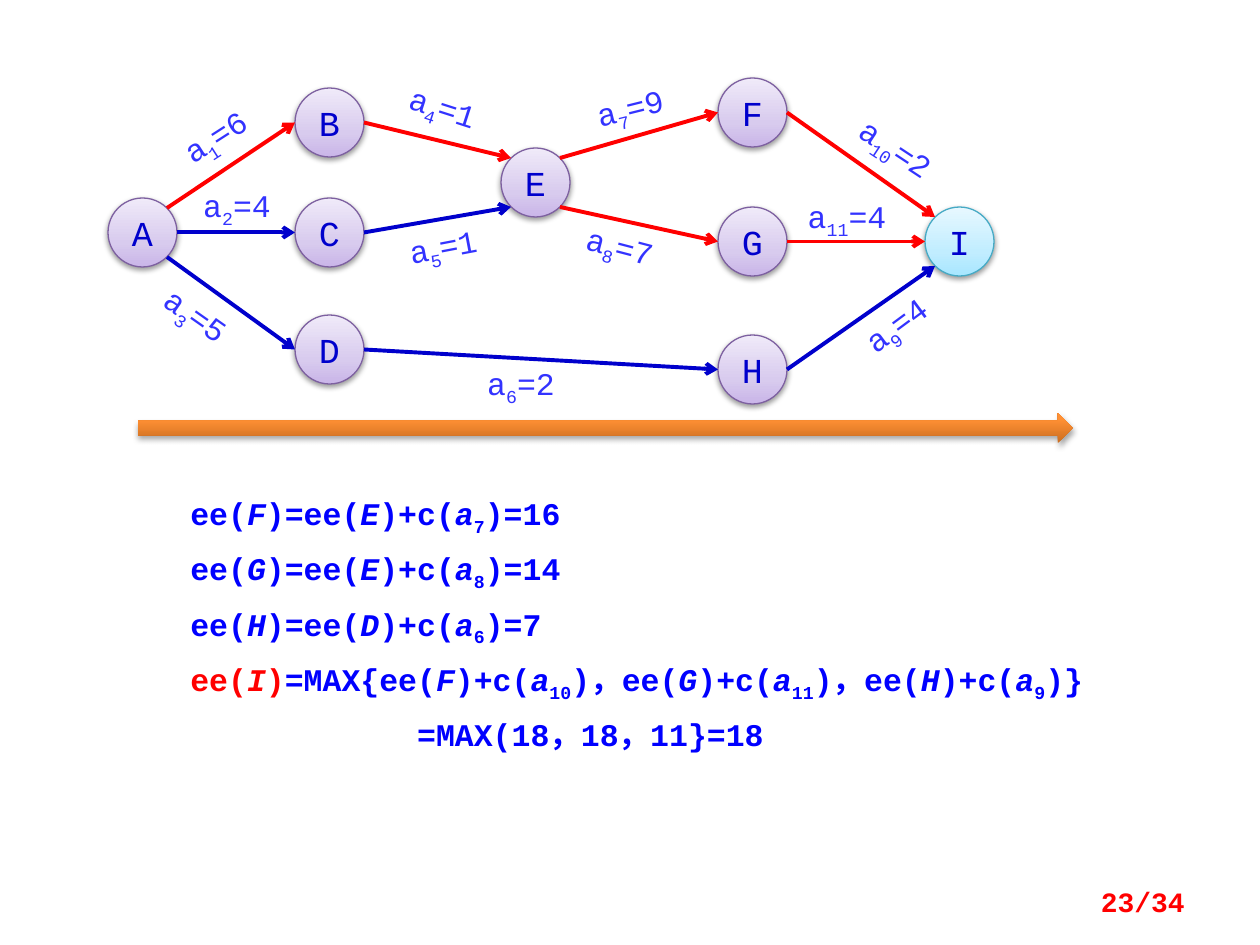
from itertools import groupby

from lxml.etree import SubElement
from pptx import Presentation
from pptx.dml.color import RGBColor
from pptx.enum.shapes import MSO_CONNECTOR, MSO_SHAPE
from pptx.enum.text import MSO_ANCHOR, PP_ALIGN
from pptx.oxml import parse_xml
from pptx.oxml.ns import nsdecls, qn
from pptx.util import Pt

PX = 914400 / 126
FONT = "Courier New"
COLORS = {"critical": "FF0000", "normal": "0000CC", "label": "3333FF",
          "formula": "0000FF", "node": "7D60A0", "sink": "46AAC5"}
GRADIENTS = {
    "node": [(0, "C9B5E8"), (35, "D8CBEE"), (100, "F0EAF9")],
    "sink": [(0, "A7E6FF"), (35, "C1EDFF"), (100, "E7F8FF")],
    "timeline": [(0, "CC6E20"), (80, "FF9034"), (100, "FF9136")],
}

DIAMETER = 69
NODES = {"A": (108, 198), "B": (295, 88), "C": (295, 198), "D": (295, 315),
         "E": (501, 148), "F": (718, 78), "G": (718, 207), "H": (718, 335),
         "I": (925, 207)}
# Ellipse connection sites: index, then direction from the centre
DIAG = 0.71
SITES = {"NW": (1, -DIAG, -DIAG), "W": (2, -1, 0), "SW": (3, -DIAG, DIAG),
         "SE": (5, DIAG, DIAG), "E": (6, 1, 0), "NE": (7, DIAG, -DIAG)}
# activity, cost, from, site, to, site, kind, label left and top, label rotation
ACTIVITIES = [
    (1, 6, "A", "NE", "B", "W", "critical", (156, 117), 327.3),
    (2, 4, "A", "E", "C", "W", "normal", (178, 186), 0),
    (3, 5, "A", "SE", "D", "W", "normal", (137, 296), 35.2),
    (4, 1, "B", "E", "E", "NW", "critical", (384, 88), 17.8),
    (5, 1, "C", "E", "E", "SW", "normal", (384, 227), 349.2),
    (6, 2, "D", "E", "H", "W", "normal", (462, 364), 0),
    (7, 9, "E", "NE", "F", "W", "critical", (571, 88), 346),
    (8, 7, "E", "SE", "G", "W", "critical", (561, 227), 14.7),
    (9, 4, "H", "E", "I", "SW", "normal", (837, 305), 323.4),
    (10, 2, "F", "E", "I", "NW", "critical", (837, 129), 33.4),
    (11, 4, "G", "E", "I", "W", "critical", (788, 197), 0),
]


def text(words, color="formula"):
    return [(words, "plain", color)]


def ee(event, color="formula"):
    return [("ee(", "plain", color), (event, "italic", color), (")", "plain", color)]


def cost(activity):
    return [("c(", "plain", "formula"), ("a", "italic", "formula"),
            (str(activity), "sub", "formula"), (")", "plain", "formula")]


def path_sum(event, activity):
    return ee(event) + text("+") + cost(activity)


FORMULAS = [
    ee("F") + text("=") + path_sum("E", 7) + text("=16"),
    ee("G") + text("=") + path_sum("E", 8) + text("=14"),
    ee("H") + text("=") + path_sum("D", 6) + text("=7"),
    ee("I", "critical") + text("=MAX{") + path_sum("F", 10) + text("，")
    + path_sum("G", 11) + text("，") + path_sum("H", 9) + text("}"),
    text("=MAX(18，18，11}=18"),
]
LAST_INDENT = Pt(129.6)  # twelve characters


def px(*lengths):
    return [round(length * PX) for length in lengths]


def rgb(name):
    return RGBColor.from_string(COLORS[name])


def set_gradient(shape, stops):
    shape.fill.background()
    stop_xml = "".join(f'<a:gs pos="{pos * 1000}"><a:srgbClr val="{color}"/></a:gs>'
                       for pos, color in stops)
    gradient = parse_xml(f'<a:gradFill {nsdecls("a")} rotWithShape="1"><a:gsLst>{stop_xml}'
                         '</a:gsLst><a:lin ang="16200000" scaled="0"/></a:gradFill>')
    properties = shape._element.spPr
    properties.replace(properties.find(qn("a:noFill")), gradient)


def set_shadow(shape, distance, opacity):
    shape.shadow.inherit = False
    effects = shape._element.spPr.find(qn("a:effectLst"))
    effects.append(parse_xml(
        f'<a:outerShdw {nsdecls("a")} blurRad="{Pt(3.1)}" dist="{Pt(distance)}" '
        'dir="5400000" rotWithShape="0"><a:srgbClr val="000000">'
        f'<a:alpha val="{opacity * 1000}"/></a:srgbClr></a:outerShdw>'))


def style(paragraph, size, align, color=None, bold=False):
    paragraph.alignment = align
    font = paragraph.font
    font.name, font.size, font.bold = FONT, Pt(size), bold
    if color:
        font.color.rgb = rgb(color)


def add_run(paragraph, words, kind):
    run = paragraph.add_run()
    run.text = words
    if kind == "italic":
        run.font.italic = True
    if kind == "sub":
        run.font._element.set("baseline", "-25000")
    return run


def add_frame(slide, box, margin=None):
    area = slide.shapes.add_textbox(*px(*box))
    frame = area.text_frame
    frame.word_wrap = True
    if margin is not None:
        frame.margin_left = frame.margin_right = margin
        frame.margin_top = frame.margin_bottom = margin
    return area, frame


def add_formulas(slide):
    _, frame = add_frame(slide, (178, 488, 960, 280))
    for number, formula in enumerate(FORMULAS):
        paragraph = frame.add_paragraph() if number else frame.paragraphs[0]
        if number:
            paragraph.space_before = Pt(7)
        style(paragraph, 18, PP_ALIGN.JUSTIFY, bold=True)
        for (kind, color), parts in groupby(formula, key=lambda part: part[1:]):
            run = add_run(paragraph, "".join(part[0] for part in parts), kind)
            run.font.color.rgb = rgb(color)
    paragraph._p.get_or_add_pPr().set("marL", str(LAST_INDENT))


def add_node(slide, event, corner):
    kind = "sink" if event == "I" else "node"
    node = slide.shapes.add_shape(MSO_SHAPE.OVAL, *px(*corner, DIAMETER, DIAMETER))
    set_gradient(node, GRADIENTS[kind])
    node.line.color.rgb = rgb(kind)
    node.line.width = Pt(0.75)
    set_shadow(node, 1.6, 38)
    frame = node.text_frame
    frame.vertical_anchor = MSO_ANCHOR.MIDDLE
    frame.text = event
    style(frame.paragraphs[0], 20, PP_ALIGN.CENTER, "normal")
    return node


def site_point(event, site):
    _, dx, dy = SITES[site]
    radius = DIAMETER / 2
    left, top = NODES[event]
    return px(left + radius * (1 + dx), top + radius * (1 + dy))


def add_activity(slide, nodes, start, start_site, end, end_site, kind):
    arrow = slide.shapes.add_connector(
        MSO_CONNECTOR.STRAIGHT, *site_point(start, start_site), *site_point(end, end_site))
    arrow.line.color.rgb = rgb(kind)
    arrow.line.width = Pt(2.25)
    SubElement(arrow.line._get_or_add_ln(), qn("a:tailEnd"), type="arrow")
    SubElement(arrow._element.spPr, qn("a:effectLst"))
    # begin_connect knows four sites only, an ellipse has eight
    joints = arrow._element.nvCxnSpPr.cNvCxnSpPr
    for tag, event, site in (("a:stCxn", start, start_site), ("a:endCxn", end, end_site)):
        SubElement(joints, qn(tag), id=str(nodes[event].shape_id), idx=str(SITES[site][0]))


def add_label(slide, activity, duration, corner, rotation):
    label, frame = add_frame(slide, (*corner, 118, 39), margin=0)
    label.rotation = rotation
    paragraph = frame.paragraphs[0]
    style(paragraph, 18, PP_ALIGN.CENTER, "label")
    for words, kind in (("a", "plain"), (str(activity), "sub"), (f"={duration}", "plain")):
        add_run(paragraph, words, kind)


def main():
    deck = Presentation()
    deck.slide_width, deck.slide_height = px(1260, 945)
    slide = deck.slides.add_slide(deck.slide_layouts[6])

    add_formulas(slide)
    nodes = {event: add_node(slide, event, corner) for event, corner in NODES.items()}
    for activity, duration, *route, corner, rotation in ACTIVITIES:
        add_activity(slide, nodes, *route)
        add_label(slide, activity, duration, corner, rotation)

    timeline = slide.shapes.add_shape(MSO_SHAPE.RIGHT_ARROW, *px(138, 413, 935, 30))
    set_gradient(timeline, GRADIENTS["timeline"])
    timeline.line.fill.background()
    set_shadow(timeline, 1.8, 35)

    _, frame = add_frame(slide, (903, 876, 294, 50))
    frame.vertical_anchor = MSO_ANCHOR.MIDDLE
    frame.text = "23/34"
    style(frame.paragraphs[0], 16, PP_ALIGN.RIGHT, "critical", bold=True)

    deck.save("out.pptx")


if __name__ == "__main__":
    main()
